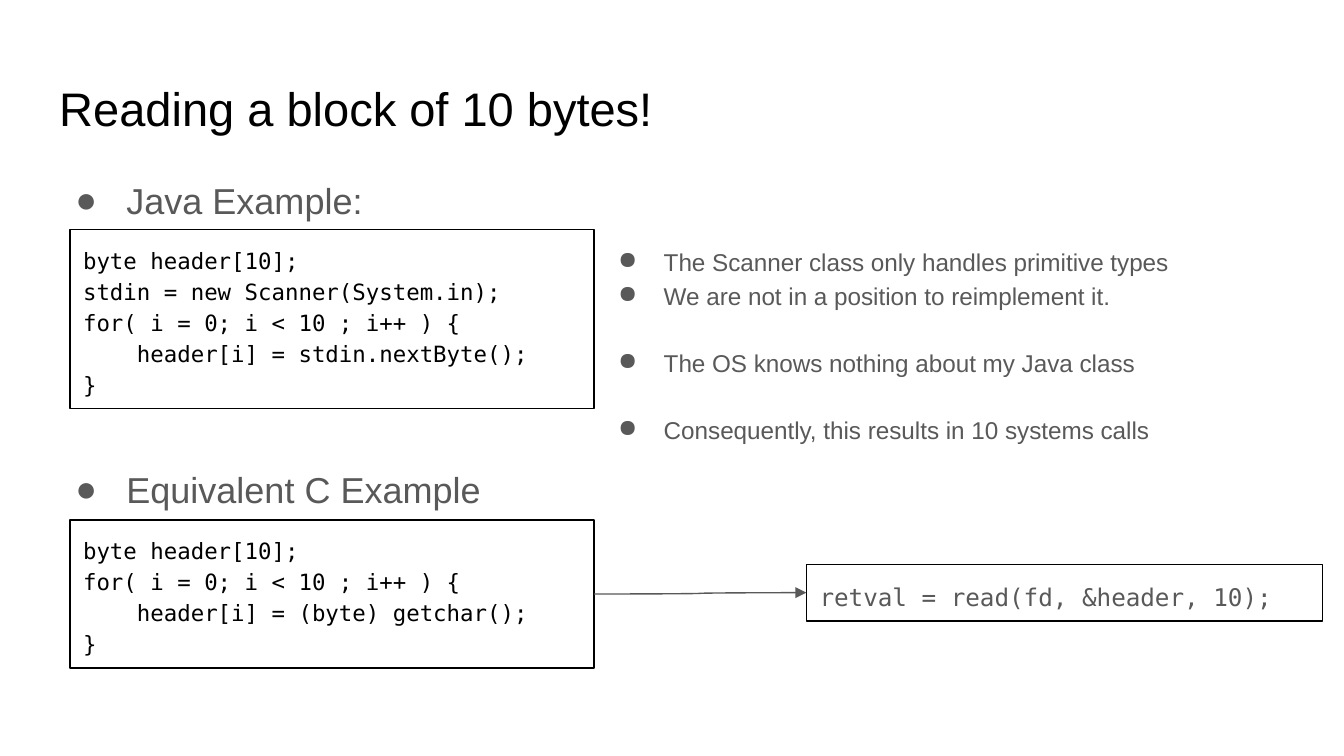
from pptx import Presentation, util as u
from pptx.dml.color import RGBColor
from pptx.enum import shapes, text
from pptx.oxml.ns import qn
from lxml import etree

# Content
TITLE = "Reading a block of 10 bytes!"
HEADS = ["Java Example:", "Equivalent C Example"]
JAVA = [
    "byte header[10];",
    "stdin = new Scanner(System.in);",
    "for( i = 0; i < 10 ; i++ ) {",
    "    header[i] = stdin.nextByte();",
    "}",
]
C = [
    "byte header[10];",
    "for( i = 0; i < 10 ; i++ ) {",
    "    header[i] = (byte) getchar();",
    "}",
]
CALL = ["retval = read(fd, &header, 10);"]
NOTES = [
    "The Scanner class only handles primitive types",
    "We are not in a position to reimplement it.",
    "The OS knows nothing about my Java class",
    "Consequently, this results in 10 systems calls",
]


class Theme:
    sans, mono = "Arial", "DejaVu Sans Mono"
    black, gray = RGBColor(0, 0, 0), RGBColor(0x59, 0x59, 0x59)
    title, head, note, code = 25.2, 19.3, 13, 12
    line, lead, pad = 0.75, 1.15, 0.1


# Places: left, top, width, height in percent of a 16:9 slide
WIDE = u.Inches(10)
HIGH = WIDE * 9 // 16
LEFT, SPAN = 3.4, 93.2
CODE_X, CODE_W, TOP = 5.2, 39, 30.4
SPOTS = {
    "title": (LEFT, 8.71, SPAN, 11.2),
    "heads": (LEFT, 20.98, SPAN, 66.49),
    "java": (CODE_X, TOP, CODE_W, 23.64),
    "notes": (43.4, TOP, 48.1, 29.87),
    "c": (CODE_X, 68.8, CODE_W, 19.56),
    "call": (60, 74.67, 38.4, 7.47),
}


def place(name):
    x, y, w, h = SPOTS[name]
    return [int(v) for v in (WIDE * x / 100, HIGH * y / 100,
                             WIDE * w / 100, HIGH * h / 100)]


def write(shape, lines, font, size, color, lead=Theme.lead):
    frame = shape.text_frame
    frame.text = "\n".join(lines)
    frame.word_wrap = True
    frame.auto_size = text.MSO_AUTO_SIZE.NONE
    frame.margin_left = frame.margin_right = u.Inches(Theme.pad)
    frame.margin_top = frame.margin_bottom = u.Inches(Theme.pad)
    for para in frame.paragraphs:
        para.alignment = text.PP_ALIGN.LEFT
        para.line_spacing = lead
        para.space_before = para.space_after = u.Pt(0)
        for run in para.runs:
            run.font.name, run.font.size = font, u.Pt(size)
            run.font.color.rgb = color
    return frame


def bullet(frame, size, hang, gaps):
    for para, gap in zip(frame.paragraphs, gaps):
        para.space_before = u.Pt(gap)
        props = para._p.get_or_add_pPr()
        props.set("marL", str(u.Inches(0.5)))
        props.set("indent", str(-u.Inches(hang)))
        tint = etree.SubElement(props, qn("a:buClr"))
        etree.SubElement(tint, qn("a:srgbClr"), val=str(Theme.gray))
        etree.SubElement(props, qn("a:buSzPts"), val=str(round(size * 100)))
        etree.SubElement(props, qn("a:buChar"), char="●")


def box(name, lines, size, color):
    shape = slide.shapes.add_shape(shapes.MSO_SHAPE.RECTANGLE, *place(name))
    shape.shadow.inherit = False
    shape.fill.background()
    shape.line.color.rgb = Theme.black
    shape.line.width = u.Pt(Theme.line)
    frame = write(shape, lines, Theme.mono, size, color)
    frame.vertical_anchor = text.MSO_ANCHOR.TOP
    return shape


deck = Presentation()
deck.slide_width, deck.slide_height = WIDE, HIGH
slide = deck.slides.add_slide(deck.slide_layouts[1])

# Title and section heads
title, heads = slide.placeholders
for shape, name in ((title, "title"), (heads, "heads")):
    shape.left, shape.top, shape.width, shape.height = place(name)
write(title, [TITLE], Theme.sans, Theme.title, Theme.black, 1)
bullet(write(heads, HEADS, Theme.sans, Theme.head, Theme.gray),
       Theme.head, 0.38, [0, 128])

# Code and notes
box("java", JAVA, Theme.code, Theme.black)
notes = slide.shapes.add_textbox(*place("notes"))
bullet(write(notes, NOTES, Theme.sans, Theme.note, Theme.gray),
       Theme.note, 0.34, [0, 0, 18, 18])
loop = box("c", C, Theme.code, Theme.black)
call = box("call", CALL, Theme.note, Theme.gray)

# Arrow from the C loop to the system call
arrow = slide.shapes.add_connector(shapes.MSO_CONNECTOR.CURVE, 0, 0, 0, 0)
arrow.begin_connect(loop, 3)
arrow.end_connect(call, 1)
arrow.line.color.rgb = Theme.gray
arrow.line.width = u.Pt(Theme.line)
etree.SubElement(arrow.line._get_or_add_ln(), qn("a:tailEnd"), type="triangle")
etree.SubElement(arrow._element.spPr, qn("a:effectLst"))

deck.save("out.pptx")
